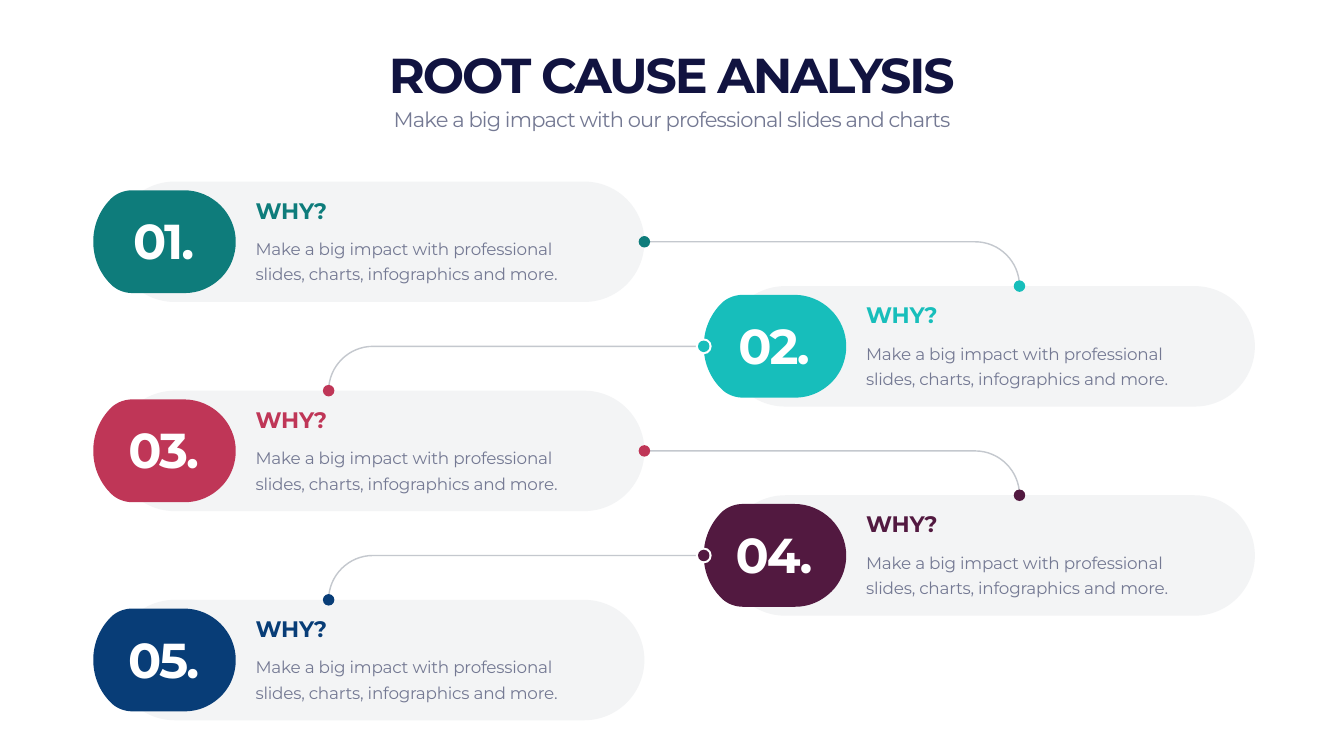
import pptx
import pptx.util
import pptx.dml.color
import pptx.enum.shapes
import pptx.enum.text
import pptx.oxml.ns
import lxml.etree

Cm, Pt = pptx.util.Cm, pptx.util.Pt
RGBColor = pptx.dml.color.RGBColor
SHAPES = pptx.enum.shapes.MSO_SHAPE
ANCHOR = pptx.enum.text.MSO_ANCHOR
ALIGN = pptx.enum.text.PP_ALIGN

# Content
TITLE = "ROOT CAUSE ANALYSIS"
SUBTITLE = "Make a big impact with our professional slides and charts"
HEADING = "WHY?"
BODY = "Make a big impact with professional slides, charts, infographics and more."
STEPS = [
    ("01.", RGBColor(0x0E, 0x7C, 0x7B)),
    ("02.", RGBColor(0x17, 0xBE, 0xBB)),
    ("03.", RGBColor(0xBF, 0x36, 0x57)),
    ("04.", RGBColor(0x52, 0x19, 0x40)),
    ("05.", RGBColor(0x08, 0x3D, 0x77)),
]

NAVY = RGBColor(0x11, 0x13, 0x40)
SLATE = RGBColor(0x74, 0x79, 0x93)
GREY = RGBColor(0xC4, 0xC8, 0xCE)
WHITE = RGBColor(0xFF, 0xFF, 0xFF)
FONT = "Montserrat"

# Layout in centimetres
PAGE_W, PAGE_H = 67.72, 38.1
BAR_X, BAR_Y, BAR_W, BAR_H = 5.77, 9.15, 26.7, 6.07
COLUMN_STEP, ROW_STEP = 30.76, 5.27
BADGE_DX, BADGE_DY = -1.07, 0.44
LINK_RUN = 18.9
DOT, HALO = 0.58, 0.8

# Badge outline: a two-number entry is a line, a six-number entry a curve
BADGE_START = (1.98, 0)
BADGE_OUTLINE = [
    (4.57, 0),
    (5.99, 0, 7.18, 1.16, 7.18, 2.59),
    (7.18, 3.3, 6.9, 3.96, 6.43, 4.42),
    (5.94, 4.9, 5.31, 5.18, 4.6, 5.18),
    (1.98, 5.18),
    (1.58, 5.18, 1.17, 5.03, 0.89, 4.74),
    (0.33, 4.19, 0, 3.43, 0, 2.59),
    (0, 1.75, 0.33, 0.99, 0.89, 0.43),
    (1.17, 0.15, 1.58, 0, 1.98, 0),
]

deck = pptx.Presentation()
deck.slide_width, deck.slide_height = Cm(PAGE_W), Cm(PAGE_H)
page = deck.slides.add_slide(deck.slide_layouts[6])


def trace(start, outline, pieces=16):
    """Turn lines and cubic curves into a list of points."""
    points = [start]
    for part in outline:
        if len(part) == 2:
            points.append(part)
            continue
        x0, y0 = points[-1]
        x1, y1, x2, y2, x3, y3 = part
        for step in range(1, pieces + 1):
            t = step / pieces
            a, b, c, d = (1 - t) ** 3, 3 * t * (1 - t) ** 2, 3 * t * t * (1 - t), t ** 3
            points.append((a * x0 + b * x1 + c * x2 + d * x3,
                           a * y0 + b * y1 + c * y2 + d * y3))
    return points


def add_outline(points, left, top, close):
    placed = [(Cm(left + x), Cm(top + y)) for x, y in points]
    builder = page.shapes.build_freeform(*placed[0])
    builder.add_line_segments(placed[1:], close=close)
    shape = builder.convert_to_shape()
    shape.shadow.inherit = False
    return shape


def paint(shape, color):
    shape.shadow.inherit = False
    shape.fill.solid()
    shape.fill.fore_color.rgb = color
    shape.line.fill.background()


def add_bar(left, top):
    bar = page.shapes.add_shape(SHAPES.ROUNDED_RECTANGLE, Cm(left), Cm(top), Cm(BAR_W), Cm(BAR_H))
    bar.adjustments[0] = 0.5
    paint(bar, GREY)
    color = bar.element.spPr.find(".//" + pptx.oxml.ns.qn("a:srgbClr"))
    lxml.etree.SubElement(color, pptx.oxml.ns.qn("a:alpha")).set("val", "20000")


def add_dot(x, y, size, color):
    dot = page.shapes.add_shape(SHAPES.OVAL, Cm(x - size / 2), Cm(y - size / 2), Cm(size), Cm(size))
    paint(dot, color)


def add_link(x, y, direction, drop):
    """Draw a level line that bends down into the next bar."""
    end, bend = direction * LINK_RUN, direction * drop
    points = trace((0, 0), [
        (end - bend, 0),
        (end - 0.45 * bend, 0, end, 0.45 * drop, end, drop),
    ])
    link = add_outline(points, x, y, close=False)
    link.fill.background()
    link.line.color.rgb = GREY
    link.line.width = Pt(2)


def add_text(text, left, top, width, height, size, color, spacing,
             bold=False, align=ALIGN.LEFT, anchor=ANCHOR.TOP, leading=None):
    box = page.shapes.add_textbox(Cm(left), Cm(top), Cm(width), Cm(height))
    frame = box.text_frame
    frame.word_wrap = True
    frame.auto_size = pptx.enum.text.MSO_AUTO_SIZE.SHAPE_TO_FIT_TEXT
    frame.vertical_anchor = anchor
    frame.text = text
    para = frame.paragraphs[0]
    para.alignment = align
    if leading:
        para.line_spacing = Pt(leading)
    span = para.runs[0]
    span.font.name, span.font.size, span.font.bold = FONT, Pt(size), bold
    span.font.color.rgb = color
    span.font.element.set("spc", str(round(spacing * 100))) if hasattr(span.font, "element") else \
        span._r.get_or_add_rPr().set("spc", str(round(spacing * 100)))


# Bars alternate between the two columns, one row lower each time
places = [(BAR_X + (i % 2) * COLUMN_STEP, BAR_Y + i * ROW_STEP) for i in range(len(STEPS))]

badge = trace(BADGE_START, BADGE_OUTLINE)
for (left, top), (number, color) in zip(places, STEPS):
    add_bar(left, top)
    paint(add_outline(badge, left + BADGE_DX, top + BADGE_DY, close=True), color)

# Links from each step to the next, with a dot at both ends
for i, (left, top) in enumerate(places[:-1]):
    rightward = i % 2 == 0
    direction = 1 if rightward else -1
    x = left + BAR_W if rightward else left + BADGE_DX
    y = top + BAR_H / 2
    drop = ROW_STEP - BAR_H / 2
    add_link(x, y, direction, drop)
    if not rightward:
        add_dot(x, y, HALO, WHITE)
    add_dot(x, y, DOT, STEPS[i][1])
    add_dot(x + direction * LINK_RUN, y + drop, DOT, STEPS[i + 1][1])

# Title and subtitle
add_text(TITLE, 4.23, 2.08, 59.26, 3.25, 70, NAVY, -2.9, True, ALIGN.CENTER, ANCHOR.BOTTOM)
add_text(SUBTITLE, 4.23, 5.23, 59.26, 1.55, 30, SLATE, -1.2, align=ALIGN.CENTER)

# Step texts
for (left, top), (number, color) in zip(places, STEPS):
    add_text(BODY, left + 6.86, top + 2.51, 17.48, 2.72, 24, SLATE, -0.3, leading=36)
    add_text(HEADING, left + 6.86, top + 0.62, 17.48, 1.63, 32, color, -0.3, True,
             anchor=ANCHOR.BOTTOM)
    add_text(number, left - 0.23, top + 1.33, 5.41, 3.25, 70, WHITE, -2.9, True,
             ALIGN.CENTER, ANCHOR.MIDDLE)

deck.save("out.pptx")
